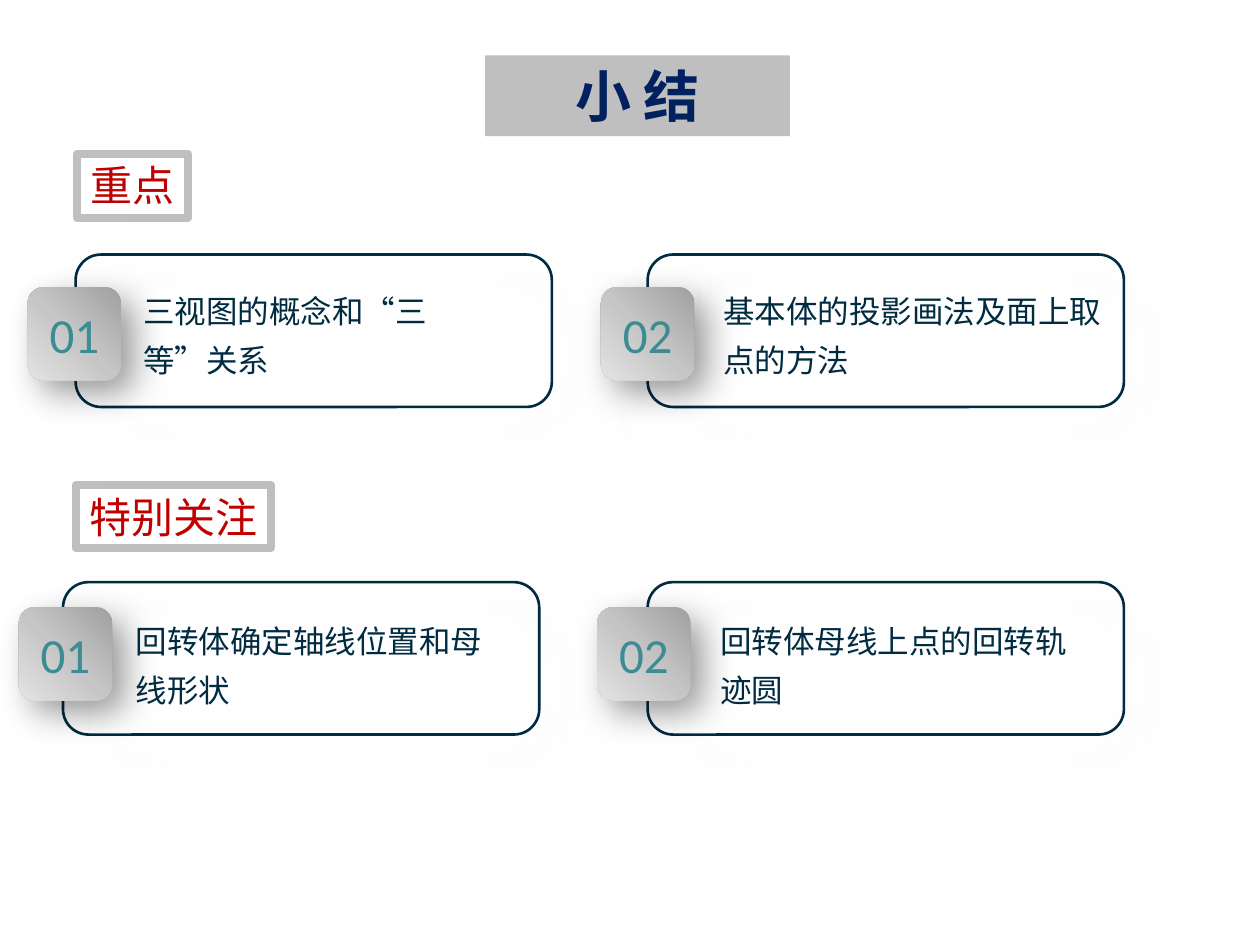
from dataclasses import dataclass

from lxml import etree
from pptx import Presentation
from pptx.dml.color import RGBColor
from pptx.enum.shapes import MSO_SHAPE
from pptx.enum.text import MSO_ANCHOR, MSO_AUTO_SIZE, PP_ALIGN
from pptx.oxml import parse_xml
from pptx.oxml.ns import nsdecls, qn
from pptx.shapes.autoshape import Shape
from pptx.slide import Slide
from pptx.util import Inches, Pt

RECT, ROUNDED = MSO_SHAPE.RECTANGLE, MSO_SHAPE.ROUNDED_RECTANGLE
TOP, MIDDLE = MSO_ANCHOR.TOP, MSO_ANCHOR.MIDDLE
LEFT, CENTER = PP_ALIGN.LEFT, PP_ALIGN.CENTER
GROW, FIXED = MSO_AUTO_SIZE.SHAPE_TO_FIT_TEXT, MSO_AUTO_SIZE.NONE
CJK, LATIN = "Noto Sans CJK SC", "Calibri"
NAVY, GREY = "002B41", "BFBFBF"
CARD_WIDTH, CARD_HEIGHT, BADGE_SIZE = 3.78, 1.21, 0.74
BADGE_STOPS = ((0, "A0A0A0"), (0.5, "C5C5C5"), (1, "E3E3E3"))


@dataclass(frozen=True)
class Box:
    left: float
    top: float
    width: float
    height: float

    def lengths(self) -> list[int]:
        return [Inches(v) for v in (self.left, self.top, self.width, self.height)]


@dataclass(frozen=True)
class TextStyle:
    size: int
    color: str
    font: str = CJK
    bold: bool = False
    align: PP_ALIGN = CENTER
    spacing: float = 1.0


@dataclass(frozen=True)
class Shadow:
    color: str
    opacity: int
    blur: int
    distance: int


@dataclass(frozen=True)
class Card:
    number: str
    wording: str
    left: float
    top: float
    badge_left: float
    badge_top: float
    text: Box


TITLE = TextStyle(32, "002060", bold=True)
HEADING = TextStyle(24, "C00000")
NUMBER = TextStyle(28, "3C8C93", font=LATIN)
BODY = TextStyle(18, NAVY, align=LEFT, spacing=1.3)
CARD_SHADOW = Shadow("808080", 20, 50, 20)
BADGE_SHADOW = Shadow("000000", 40, 20, 10)

HEADINGS = (
    ("重点", Box(0.61, 1.22, 0.88, 0.51)),
    ("特别关注", Box(0.6, 3.85, 1.55, 0.5)),
)
CARDS = (
    Card("01", "三视图的概念和“三等”关系", 0.6, 2.02, 0.22, 2.28, Box(1.04, 2.18, 3.18, 0.89)),
    Card("02", "基本体的投影画法及面上取点的方法", 5.14, 2.02, 4.77, 2.28, Box(5.64, 2.18, 3.3, 0.89)),
    Card("01", "回转体确定轴线位置和母线形状", 0.5, 4.62, 0.15, 4.82, Box(0.98, 4.8, 3.06, 0.89)),
    Card("02", "回转体母线上点的回转轨迹圆", 5.14, 4.62, 4.74, 4.82, Box(5.62, 4.8, 3.06, 0.89)),
)


def rgb(color: str) -> RGBColor:
    """Turn a hex string into a colour."""
    return RGBColor.from_string(color)


def write(shape: Shape, wording: str, style: TextStyle, **frame_format) -> None:
    """Put one styled paragraph into a shape."""
    frame = shape.text_frame
    for key, value in ({"word_wrap": True, "auto_size": GROW} | frame_format).items():
        setattr(frame, key, value)
    paragraph = frame.paragraphs[0]
    paragraph.alignment, paragraph.line_spacing = style.align, style.spacing
    run = paragraph.add_run()
    run.text = wording
    for key, value in {"size": Pt(style.size), "bold": style.bold, "name": style.font}.items():
        setattr(run.font, key, value)
    run.font.color.rgb = rgb(style.color)
    etree.SubElement(run._r.get_or_add_rPr(), qn("a:ea"), typeface=style.font)


def add_panel(slide: Slide, kind: MSO_SHAPE, box: Box, fill: str = "",
              line: str = "", line_width: float = 0) -> Shape:
    """Add a preset shape with an optional plain fill and outline."""
    panel = slide.shapes.add_shape(kind, *box.lengths())
    panel.shadow.inherit = False
    if fill:
        panel.fill.solid()
        panel.fill.fore_color.rgb = rgb(fill)
    else:
        panel.fill.background()
    if line:
        panel.line.color.rgb = rgb(line)
        panel.line.width = Pt(line_width)
    else:
        panel.line.fill.background()
    return panel


def cast_shadow(panel: Shape, shadow: Shadow) -> None:
    """Give a shape an outer shadow falling down to the right."""
    effects = panel._element.spPr.find(qn("a:effectLst"))
    effects.append(parse_xml(
        f'<a:outerShdw {nsdecls("a")} blurRad="{Pt(shadow.blur)}" dist="{Pt(shadow.distance)}" '
        f'dir="2700000" algn="tl" rotWithShape="0"><a:srgbClr val="{shadow.color}">'
        f'<a:alpha val="{shadow.opacity * 1000}"/></a:srgbClr></a:outerShdw>'))


def fill_badge(badge: Shape) -> None:
    """Shade a badge from its top right corner to its bottom left."""
    badge.fill.gradient()
    badge.fill.gradient_angle = 225
    stop_list = badge._element.spPr.find(f'{qn("a:gradFill")}/{qn("a:gsLst")}')
    stop_list.append(parse_xml(f'<a:gs {nsdecls("a")} pos="100000"><a:srgbClr val="FFFFFF"/></a:gs>'))
    for stop, (position, color) in zip(badge.fill.gradient_stops, BADGE_STOPS):
        stop.position = position
        stop.color.rgb = rgb(color)


def add_card(slide: Slide, card: Card) -> None:
    """Draw an outlined card with its numbered badge and wording."""
    outline = add_panel(slide, ROUNDED, Box(card.left, card.top, CARD_WIDTH, CARD_HEIGHT),
                        line=NAVY, line_width=1.5)
    cast_shadow(outline, CARD_SHADOW)
    badge = add_panel(slide, ROUNDED, Box(card.badge_left, card.badge_top, BADGE_SIZE, BADGE_SIZE))
    fill_badge(badge)
    cast_shadow(badge, BADGE_SHADOW)
    write(badge, card.number, NUMBER, auto_size=FIXED, vertical_anchor=MIDDLE)
    write(slide.shapes.add_textbox(*card.text.lengths()), card.wording, BODY)


def main() -> None:
    """Build the summary slide and save it."""
    deck = Presentation()
    deck.slide_width, deck.slide_height = Inches(10), Inches(7.5)
    slide = deck.slides.add_slide(deck.slide_layouts[6])
    title = add_panel(slide, RECT, Box(3.85, 0.44, 2.42, 0.64), fill=GREY)
    write(title, "小 结", TITLE, vertical_anchor=TOP)
    for wording, box in HEADINGS:
        heading = add_panel(slide, RECT, box, line=GREY, line_width=4.5)
        write(heading, wording, HEADING, word_wrap=False, vertical_anchor=TOP)
    for card in CARDS:
        add_card(slide, card)
    deck.save("out.pptx")


if __name__ == "__main__":
    main()
